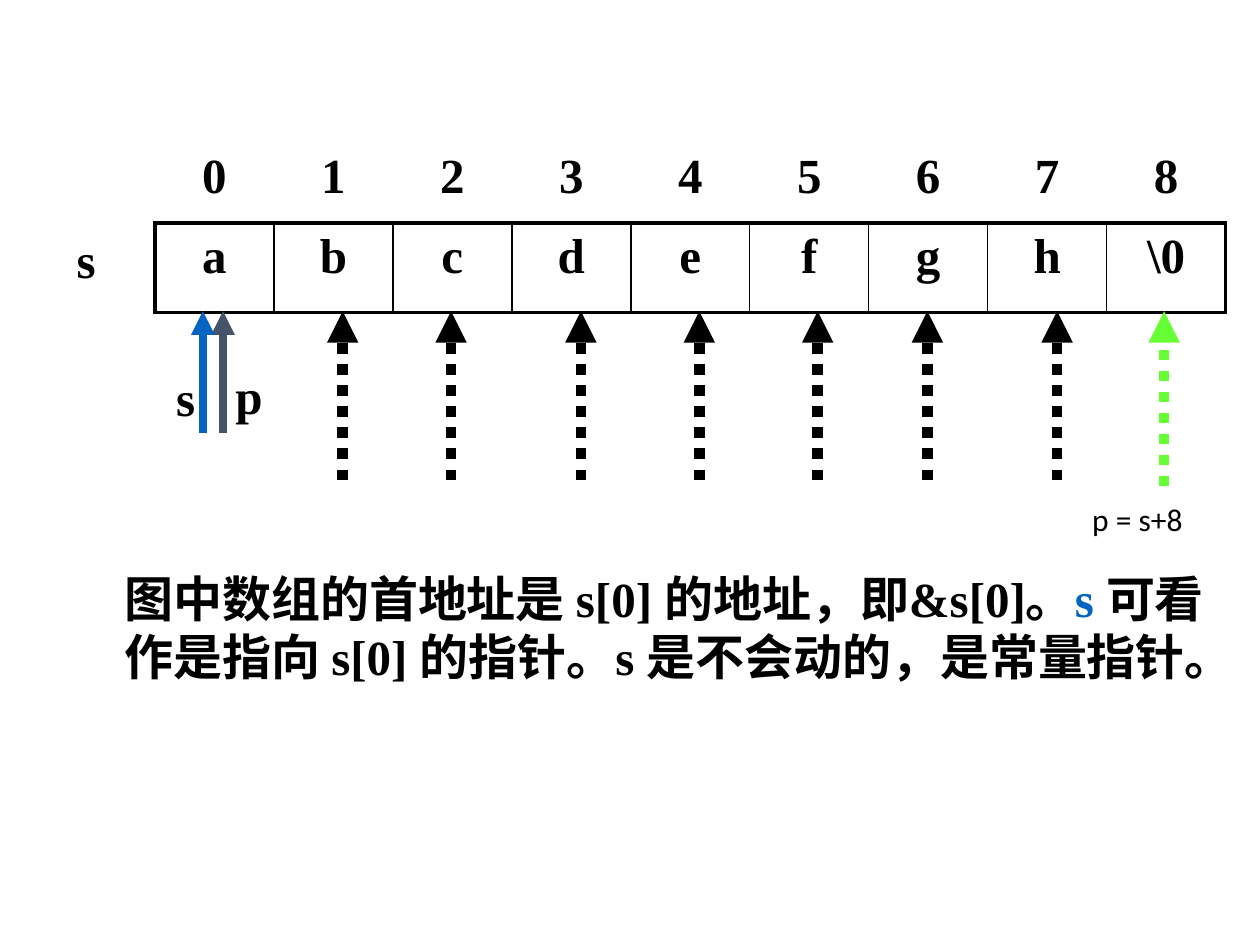
import pptx
import pptx.dml.color
import pptx.enum.dml
import pptx.enum.shapes
import pptx.enum.text
import pptx.oxml.ns
import pptx.util
from lxml import etree
from pptx.util import Inches, Pt

RGBColor = pptx.dml.color.RGBColor
BLACK = RGBColor(0x00, 0x00, 0x00)
BLUE = RGBColor(0x05, 0x63, 0xC1)
SLATE = RGBColor(0x44, 0x54, 0x6A)
GREEN = RGBColor(0x66, 0xFF, 0x33)
SERIF = "Times New Roman"

# Content
INDEXES = [str(number) for number in range(9)]
CHARACTERS = ["a", "b", "c", "d", "e", "f", "g", "h", "\\0"]
LABELS = [("s", 0.51, 1.77), ("s", 1.3, 2.87), ("p", 1.77, 2.85)]
EXPLANATION = [
    ("图中数组的首地址是 s[0] 的地址，即&s[0]。", BLACK),
    ("s ", BLUE),
    ("可看作是指向 s[0] 的指针。s 是不会动的，是常量指针。", BLACK),
]
# Pointer arrows: x, bottom, top, colour
SOLID_ARROWS = [(1.77, 3.44, 2.47, SLATE), (1.61, 3.44, 2.47, BLUE)]
DOTTED_ARROWS = [(x, 3.81, 2.47, BLACK)
                 for x in (2.72, 3.58, 4.61, 5.55, 6.49, 7.36, 8.39)]
DOTTED_ARROWS.append((9.24, 3.86, 2.47, GREEN))

# Array geometry
ARRAY_LEFT, ARRAY_WIDTH = 1.23, 8.5
INNER_LINE, OUTER_LINE = 1, 2.25


def style_run(run, color, size=28, font=SERIF, bold=True):
    run.font.size = Pt(size)
    run.font.name = font
    run.font.bold = bold
    run.font.color.rgb = color


def set_border(cell, side, width):
    properties = cell._tc.get_or_add_tcPr()
    line = etree.SubElement(properties, pptx.oxml.ns.qn("a:ln" + side))
    if not width:
        etree.SubElement(line, pptx.oxml.ns.qn("a:noFill"))
        return
    line.set("w", str(Pt(width)))
    fill = etree.SubElement(line, pptx.oxml.ns.qn("a:solidFill"))
    etree.SubElement(fill, pptx.oxml.ns.qn("a:srgbClr"), val=str(BLACK))


def add_array_row(slide, values, top, height, bordered):
    table = slide.shapes.add_table(
        1, len(values), Inches(ARRAY_LEFT), Inches(top),
        Inches(ARRAY_WIDTH), Inches(height)).table
    table.first_row = False
    table.horz_banding = False
    last = len(values) - 1
    for column, value in enumerate(values):
        cell = table.cell(0, column)
        widths = {
            "L": OUTER_LINE if column == 0 else INNER_LINE,
            "R": OUTER_LINE if column == last else INNER_LINE,
            "T": OUTER_LINE,
            "B": OUTER_LINE,
        }
        for side, width in widths.items():
            set_border(cell, side, width if bordered else 0)
        cell.fill.background()
        cell.text_frame.text = value
        paragraph = cell.text_frame.paragraphs[0]
        paragraph.alignment = pptx.enum.text.PP_ALIGN.CENTER
        style_run(paragraph.runs[0], BLACK)


def add_text(slide, left, top, width, height, wrap=True):
    box = slide.shapes.add_textbox(
        Inches(left), Inches(top), Inches(width), Inches(height))
    box.text_frame.word_wrap = wrap
    return box.text_frame.paragraphs[0]


def add_arrow(slide, x, bottom, top, color, width, dash=None):
    arrow = slide.shapes.add_connector(
        pptx.enum.shapes.MSO_CONNECTOR.STRAIGHT,
        Inches(x), Inches(bottom), Inches(x), Inches(top))
    arrow.line.color.rgb = color
    arrow.line.width = Pt(width)
    if dash:
        arrow.line.dash_style = dash
    line = arrow.line._get_or_add_ln()
    etree.SubElement(line, pptx.oxml.ns.qn("a:tailEnd"), type="triangle")
    etree.SubElement(arrow._element.spPr, pptx.oxml.ns.qn("a:effectLst"))


def main():
    presentation = pptx.Presentation()
    presentation.slide_width = Inches(10)
    presentation.slide_height = Inches(7.5)
    slide = presentation.slides.add_slide(presentation.slide_layouts[6])

    # Array with its indexes
    add_array_row(slide, INDEXES, 1.14, 0.63, bordered=False)
    add_array_row(slide, CHARACTERS, 1.77, 0.71, bordered=True)

    # Array and pointer names
    for text, left, top in LABELS:
        paragraph = add_text(slide, left, top, 0.47, 0.57)
        paragraph.text = text
        style_run(paragraph.runs[0], BLACK)

    # Pointers
    for arrow in SOLID_ARROWS:
        add_arrow(slide, *arrow, width=4.5)
    for arrow in DOTTED_ARROWS:
        add_arrow(slide, *arrow, width=6,
                  dash=pptx.enum.dml.MSO_LINE.ROUND_DOT)

    # Explanation
    paragraph = add_text(slide, 0.51, 4.46, 9.49, 1.03)
    paragraph._p.get_or_add_pPr().set("marL", str(Inches(0.38)))
    for text, color in EXPLANATION:
        run = paragraph.add_run()
        run.text = text
        style_run(run, color)

    # Final pointer position
    paragraph = add_text(slide, 8.57, 3.92, 1.07, 0.4, wrap=False)
    paragraph.text = "p = s+8"
    style_run(paragraph.runs[0], BLACK, 18, "Calibri", False)

    presentation.save("out.pptx")


if __name__ == "__main__":
    main()
